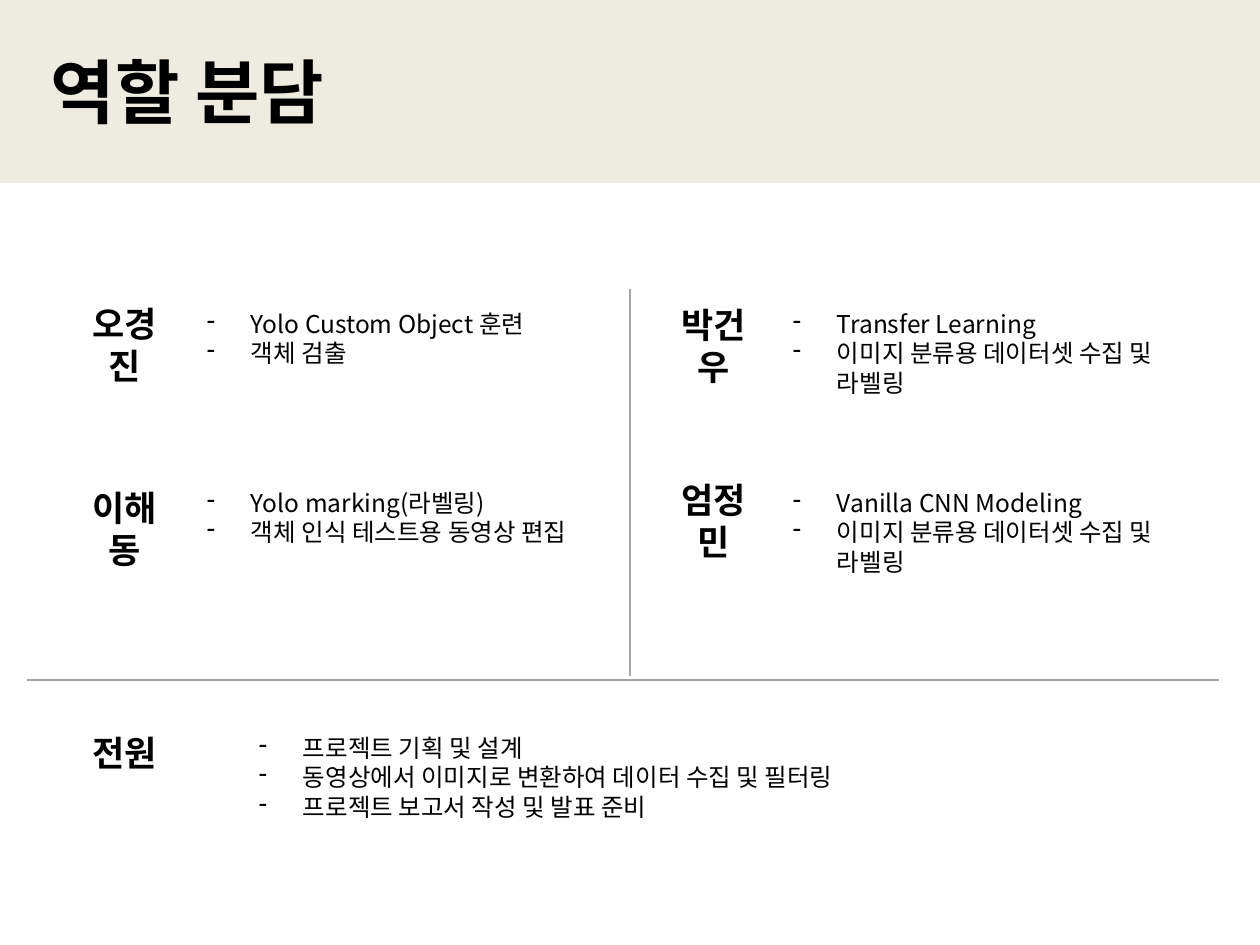
"""Build the role assignment slide."""
import pptx
import pptx.util
import pptx.dml.color
import pptx.enum.shapes
import pptx.enum.text
import pptx.oxml.ns
import lxml.etree

PX = 914400 // 126
HUES = {"band": "EEECE1", "rule": "A5A5A5", "ink": "000000", "paper": "FFFFFF"}
HEAD, BODY = "Calibri", "Noto Sans CJK KR"
TITLE = "역할 분담"
ROLES = [
    ("오경진", (71, 289), (175, 296, 417, 84),
     ["Yolo Custom Object 훈련", "객체 검출"]),
    ("이해동", (71, 473), (175, 475, 417, 115),
     ["Yolo marking(라벨링)", "객체 인식 테스트용 동영상 편집"]),
    ("박건우", (660, 290), (761, 296, 432, 115),
     ["Transfer Learning", "이미지 분류용 데이터셋 수집 및 라벨링"]),
    ("엄정민", (660, 465), (761, 475, 450, 115),
     ["Vanilla CNN Modeling", "이미지 분류용 데이터셋 수집 및 라벨링"]),
    ("전원", (71, 718), (227, 720, 920, 115),
     ["프로젝트 기획 및 설계", "동영상에서 이미지로 변환하여 데이터 수집 및 필터링",
      "프로젝트 보고서 작성 및 발표 준비"]),
]
RULES = [(630, 289, 630, 676), (27, 680, 1219, 680)]


def px(*nums):
    return [pptx.util.Emu(num * PX) for num in nums]


def hue(name):
    return pptx.dml.color.RGBColor.from_string(HUES[name])


def child(node, tag, **attrs):
    return lxml.etree.SubElement(node, pptx.oxml.ns.qn(tag), attrs)


def block(slide, spot, fill):
    shape = slide.shapes.add_shape(pptx.enum.shapes.MSO_SHAPE.RECTANGLE, *px(*spot))
    shape.shadow.inherit = False
    shape.fill.solid()
    shape.fill.fore_color.rgb = hue(fill)
    shape.line.fill.background()
    return shape


def write(shape, lines, font, size, bold=False, pad=13, align="LEFT", anchor="TOP", dash=False):
    frame = shape.text_frame
    frame.word_wrap = True
    frame.vertical_anchor = pptx.enum.text.MSO_ANCHOR[anchor]
    frame.margin_left, frame.margin_right = px(13, 13)
    frame.margin_top, frame.margin_bottom = px(pad, pad)
    frame.text = "\n".join(lines)
    for para in frame.paragraphs:
        para.alignment = pptx.enum.text.PP_ALIGN[align]
        if dash:
            props = para._p.get_or_add_pPr()
            props.set("marL", str(63 * PX))
            props.set("indent", str(-44 * PX))
            child(child(props, "a:buClr"), "a:srgbClr", val=HUES["ink"])
            child(props, "a:buChar", char="-")
        for run in para.runs:
            run.font.size = pptx.util.Pt(size)
            run.font.bold = bold
            run.font.color.rgb = hue("ink")
            run.font.name = font
            child(run._r.get_or_add_rPr(), "a:ea", typeface=font)


def rule(slide, ends):
    line = slide.shapes.add_connector(pptx.enum.shapes.MSO_CONNECTOR.STRAIGHT, *px(*ends))
    line.line.color.rgb = hue("rule")
    line.line.width = pptx.util.Pt(0.75)
    child(line._element.spPr, "a:effectLst")


def main():
    deck = pptx.Presentation()
    deck.slide_width, deck.slide_height = px(1260, 945)
    slide = deck.slides.add_slide(deck.slide_layouts[6])
    block(slide, (0, 0, 1260, 183), "band")
    title = slide.shapes.add_textbox(*px(38, 52, 1065, 77))
    write(title, [TITLE], HEAD, 40, bold=True, pad=6, anchor="MIDDLE")
    for name, spot, area, tasks in ROLES:
        label = block(slide, (*spot, 107, 68), "paper")
        write(label, [name], HEAD, 20, bold=True, align="CENTER")
        write(slide.shapes.add_textbox(*px(*area)), tasks, BODY, 14, dash=True)
    for ends in RULES:
        rule(slide, ends)
    deck.save("out.pptx")


if __name__ == "__main__":
    main()
